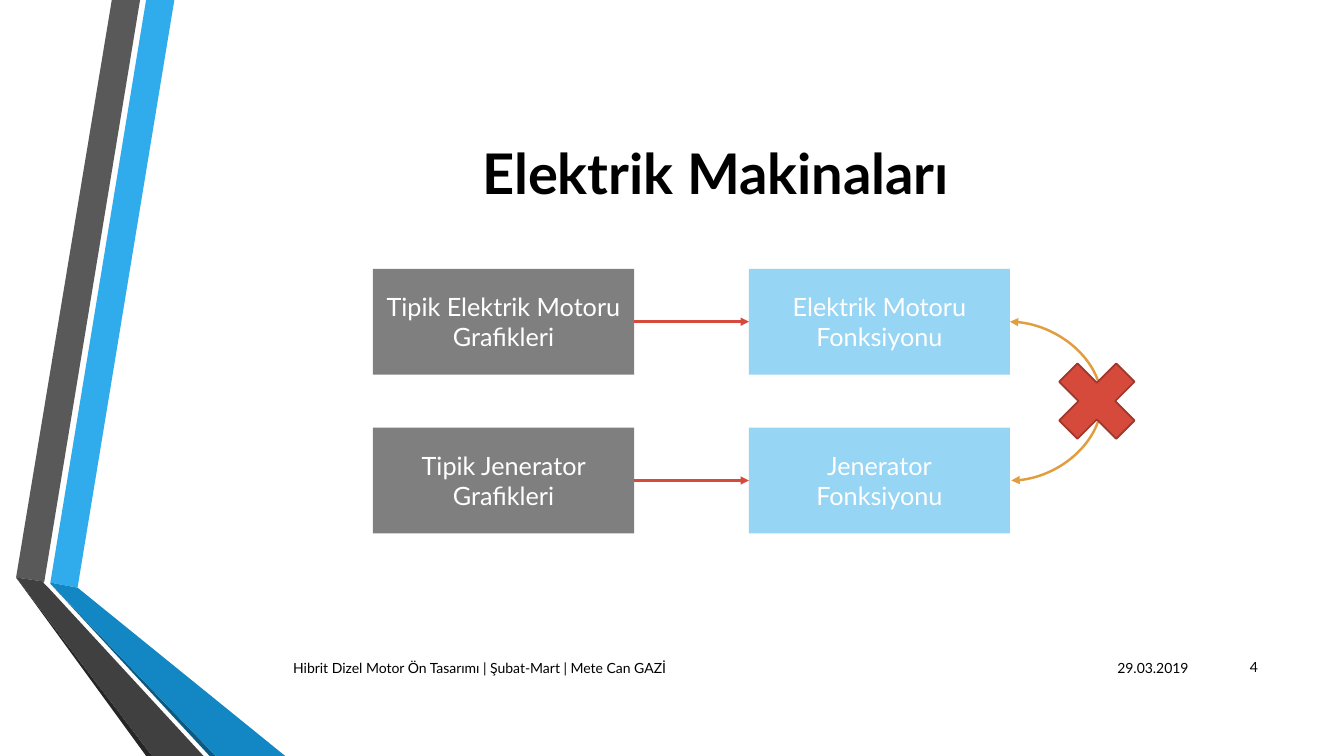
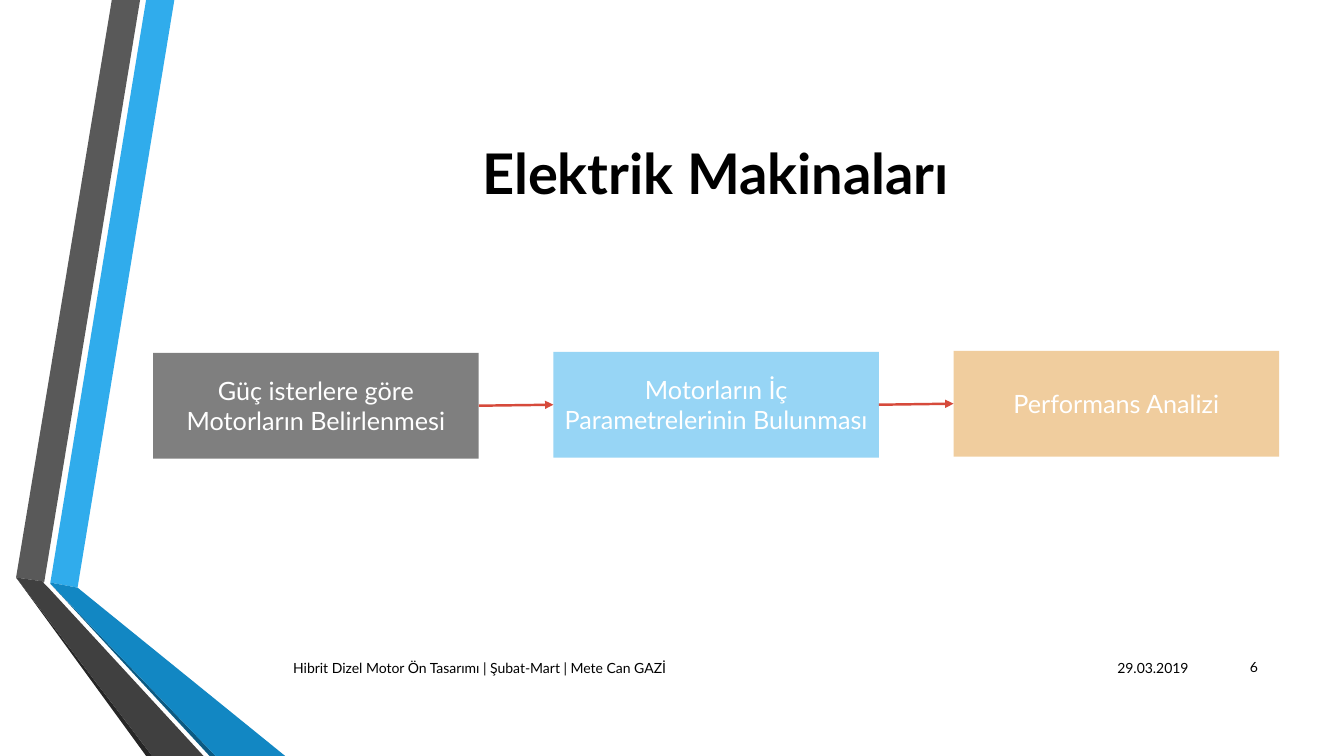
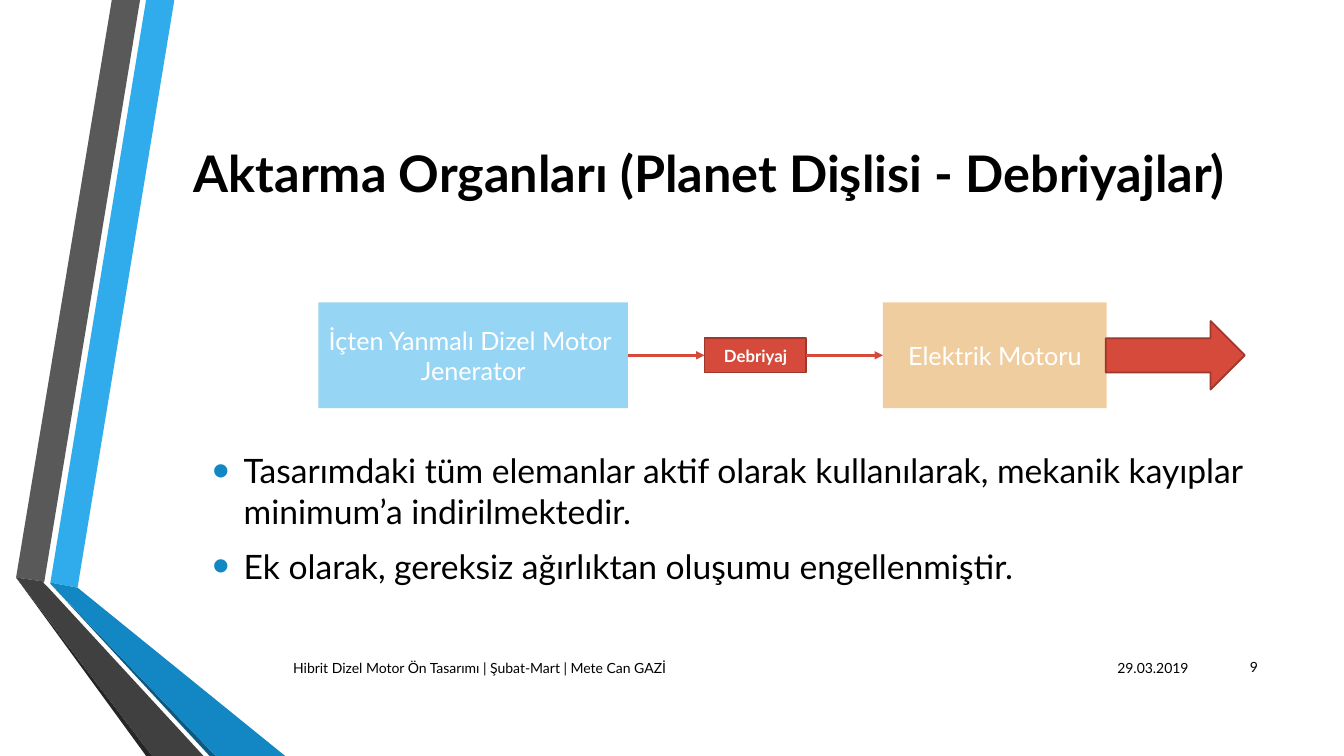
from dataclasses import dataclass

from lxml import etree
from pptx import Presentation
from pptx import util as u
from pptx.dml.color import RGBColor
from pptx.enum import shapes, text
from pptx.oxml import ns

COLUMNS, ROWS = 160, 90
CELL = u.Inches(7.5) // ROWS
FONT = "Lato"
COLORS = {
    "ink": "000000",
    "paper": "FFFFFF",
    "sky": "30ACEC",
    "blue": "1287C3",
    "navy": "0C5A82",
    "grey": "595959",
    "charcoal": "404040",
    "coal": "262626",
    "red": "D64A3B",
    "brick": "9E372C",
    "orange": "E29D3E",
}
BANDS = [
    ("sky", [(6, 69.36), (9.24, 69.96), (20.76, 0), (17.4, 0)]),
    ("grey", [(16.68, 0), (13.32, 0), (1.92, 68.76), (5.28, 69.24)]),
    ("coal", [(1.92, 68.76), (17.4, 90), (18.12, 90)]),
    ("navy", [(6, 69.48), (24.96, 90), (25.68, 90)]),
    ("blue", [(6, 69.36), (6, 69.48), (25.68, 90), (33.96, 90), (9.24, 69.96)]),
    ("charcoal", [(1.92, 68.76), (18.12, 90), (24.24, 90), (5.76, 69.96),
                  (5.16, 69.36), (5.28, 69.24)]),
]
FOOTER = "Hibrit Dizel Motor Ön Tasarımı | Şubat-Mart | Mete Can GAZİ"
DATE = "29.03.2019"
LEFT, CENTER, RIGHT = text.PP_ALIGN.LEFT, text.PP_ALIGN.CENTER, text.PP_ALIGN.RIGHT


def cells(*counts):
    return [u.Emu(round(count * CELL)) for count in counts]


@dataclass
class Box:
    left: float
    top: float
    width: float
    height: float

    def inner(self, column, row, width, height):
        return Box(self.left + column, self.top + row, width, height)

    def emu(self):
        return cells(self.left, self.top, self.width, self.height)


def rgb(color):
    return RGBColor.from_string(COLORS[color])


def sub(parent, tag, **attributes):
    return etree.SubElement(parent, ns.qn(tag), attributes)


def write(shape, words, size, color="ink", align=CENTER, bold=False):
    frame = shape.text_frame
    frame.word_wrap = True
    frame.auto_size = text.MSO_AUTO_SIZE.NONE
    frame.vertical_anchor = text.MSO_ANCHOR.MIDDLE
    frame.text = words
    for paragraph in frame.paragraphs:
        paragraph.alignment = align
        for run in paragraph.runs:
            run.font.name = FONT
            run.font.size = u.Pt(size)
            run.font.bold = bold
            run.font.color.rgb = rgb(color)


def write_box(slide, box, words, size, align=LEFT):
    label = slide.shapes.add_textbox(*box.emu())
    write(label, words, size, align=align)
    return label


def paint(shape, fill, edge=None):
    shape.shadow.inherit = False
    shape.fill.solid()
    shape.fill.fore_color.rgb = rgb(fill)
    if edge:
        shape.line.color.rgb = rgb(edge)
        shape.line.width = u.Pt(1.25)
    else:
        shape.line.fill.background()


def add_mark(slide, preset, box):
    mark = slide.shapes.add_shape(preset, *box.emu())
    paint(mark, "red", "brick")
    return mark


def add_step(slide, box, words, color):
    step = slide.shapes.add_shape(shapes.MSO_SHAPE.RECTANGLE, *box.emu())
    paint(step, color)
    tint = step._element.spPr.find(ns.qn("a:solidFill")).find(ns.qn("a:srgbClr"))
    sub(tint, "a:alpha", val="50000")
    write(step, words, 18, "paper")
    return step


def style_arrow(arrow, color, *ends):
    arrow.line.color.rgb = rgb(color)
    arrow.line.width = u.Pt(1.75)
    properties = arrow._element.spPr
    for end in ends:
        sub(properties.find(ns.qn("a:ln")), end, type="triangle")
    sub(properties, "a:effectLst")


def link(slide, source, target):
    arrow = slide.shapes.add_connector(shapes.MSO_CONNECTOR.STRAIGHT, 0, 0, 0, 0)
    arrow.begin_connect(source, 3)
    arrow.end_connect(target, 1)
    style_arrow(arrow, "red", "a:tailEnd")


def add_bands(slide, layout):
    group = slide.shapes.add_group_shape()
    for color, outline in BANDS:
        first, *rest = [cells(*point) for point in outline]
        builder = group.shapes.build_freeform(*first)
        builder.add_line_segments(rest, close=True)
        paint(builder.convert_to_shape(), color)
    layout.shapes._spTree.append(group._element)


def add_footer(slide, box, number):
    write_box(slide, box.inner(93.96, 0.12, 15, 4.8), DATE, 10, RIGHT)
    write_box(slide, box.inner(0, 0.12, 93, 4.8), FOOTER, 10)
    write_box(slide, box.inner(110.04, 0, 7.2, 4.8), number, 10, RIGHT)


def new_slide(deck, heading, number, size=40):
    slide = deck.slides.add_slide(deck.slide_layouts[5])
    title = slide.shapes.title
    title.left, title.top, title.width, title.height = Box(19.44, 9, 131.52, 23.04).emu()
    write(title, heading, size, bold=True)
    add_footer(slide, Box(33.72, 77.04, 117.24, 4.92), number)
    return slide


def add_machine_pairs(slide, box):
    width, height = 31.08, 12.6
    column_pitch, row_pitch = box.width - width, box.height - height
    pairs = [
        ("Tipik Elektrik Motoru Grafikleri", "Elektrik Motoru\nFonksiyonu"),
        ("Tipik Jenerator Grafikleri", "Jenerator\nFonksiyonu"),
    ]
    for row, (graphs, function) in enumerate(pairs):
        top = row * row_pitch
        source = add_step(slide, box.inner(0, top, width, height), graphs, "ink")
        target = add_step(slide, box.inner(column_pitch, top, width, height), function, "sky")
        link(slide, source, target)
    add_blocked_loop(slide, box.inner(box.width, height / 2, 10.9, row_pitch))


def add_blocked_loop(slide, box):
    loop = slide.shapes.add_connector(
        shapes.MSO_CONNECTOR.CURVE,
        *cells(box.left, box.top, box.left + 0.17, box.top + box.height))
    bulge = round(box.width * CELL / loop.width * 100000)
    guides = loop._element.spPr.find(ns.qn("a:prstGeom")).get_or_add_avLst()
    sub(guides, "a:gd", name="adj1", fmla=f"val {bulge}")
    style_arrow(loop, "orange", "a:headEnd", "a:tailEnd")
    side = 13.08
    add_mark(slide, shapes.MSO_SHAPE.MATH_MULTIPLY,
             box.inner(3.8, (box.height - side) / 2, side, side))


def add_analysis_flow(slide, box):
    width, rise = 38.76, 0.12
    stages = [
        ("Güç isterlere göre Motorların Belirlenmesi", "ink"),
        ("Motorların İç Parametrelerinin Bulunması", "sky"),
        ("Performans Analizi", "orange"),
    ]
    pitch = (box.width - width) / (len(stages) - 1)
    steps = [
        add_step(slide, box.inner(i * pitch, -i * rise, width, box.height), words, color)
        for i, (words, color) in enumerate(stages)
    ]
    for source, target in zip(steps, steps[1:]):
        link(slide, source, target)


def add_drivetrain(slide, box):
    engine = add_step(slide, box.inner(0, 0, 36.84, box.height),
                      "İçten Yanmalı Dizel Motor \nJenerator", "sky")
    motor = add_step(slide, box.inner(67.2, 0, 26.64, box.height), "Elektrik Motoru", "orange")
    clutch = add_mark(slide, shapes.MSO_SHAPE.RECTANGLE,
                      box.inner(45.96, (box.height - 4.08) / 2, 12.12, 4.08))
    write(clutch, "Debriyaj", 12, "paper", bold=True)
    link(slide, engine, clutch)
    link(slide, clutch, motor)
    output = add_mark(slide, shapes.MSO_SHAPE.DOWN_ARROW,
                      box.inner(97.92, (box.height - 16.56) / 2, 8.16, 16.56))
    output.rotation = 270


def add_benefits(slide, box):
    benefits = write_box(
        slide, box,
        "Tasarımdaki tüm elemanlar aktif olarak kullanılarak, mekanik kayıplar "
        "minimum’a indirilmektedir.\n"
        "Ek olarak, gereksiz ağırlıktan oluşumu engellenmiştir.", 24)
    indent = u.Inches(0.31)
    for paragraph in benefits.text_frame.paragraphs:
        paragraph.space_before = u.Pt(4.8)
        paragraph.space_after = u.Pt(6)
        layout = paragraph._p.get_or_add_pPr()
        layout.set("marL", str(indent))
        layout.set("indent", str(-indent))
        sub(sub(layout, "a:buClr"), "a:srgbClr", val=COLORS["blue"])
        sub(layout, "a:buSzPct", val="145000")
        sub(layout, "a:buFont", typeface="Arial")
        sub(layout, "a:buChar", char="•")


deck = Presentation()
deck.slide_width, deck.slide_height = cells(COLUMNS, ROWS)

functions = new_slide(deck, "Elektrik Makinaları", "4")
add_bands(functions, deck.slide_layouts[5])
add_machine_pairs(functions, Box(44.4, 32, 75.84, 31.5))

analysis = new_slide(deck, "Elektrik Makinaları", "6")
add_analysis_flow(analysis, Box(18.24, 42, 134.04, 12.6))

transmission = new_slide(
    deck, "Aktarma Organları (Planet Dişlisi - Debriyajlar) ", "9", size=36)
add_drivetrain(transmission, Box(37.92, 36, 106.08, 12.6))
add_benefits(transmission, Box(24.12, 52.44, 131.52, 18.48))

deck.save("out.pptx")
